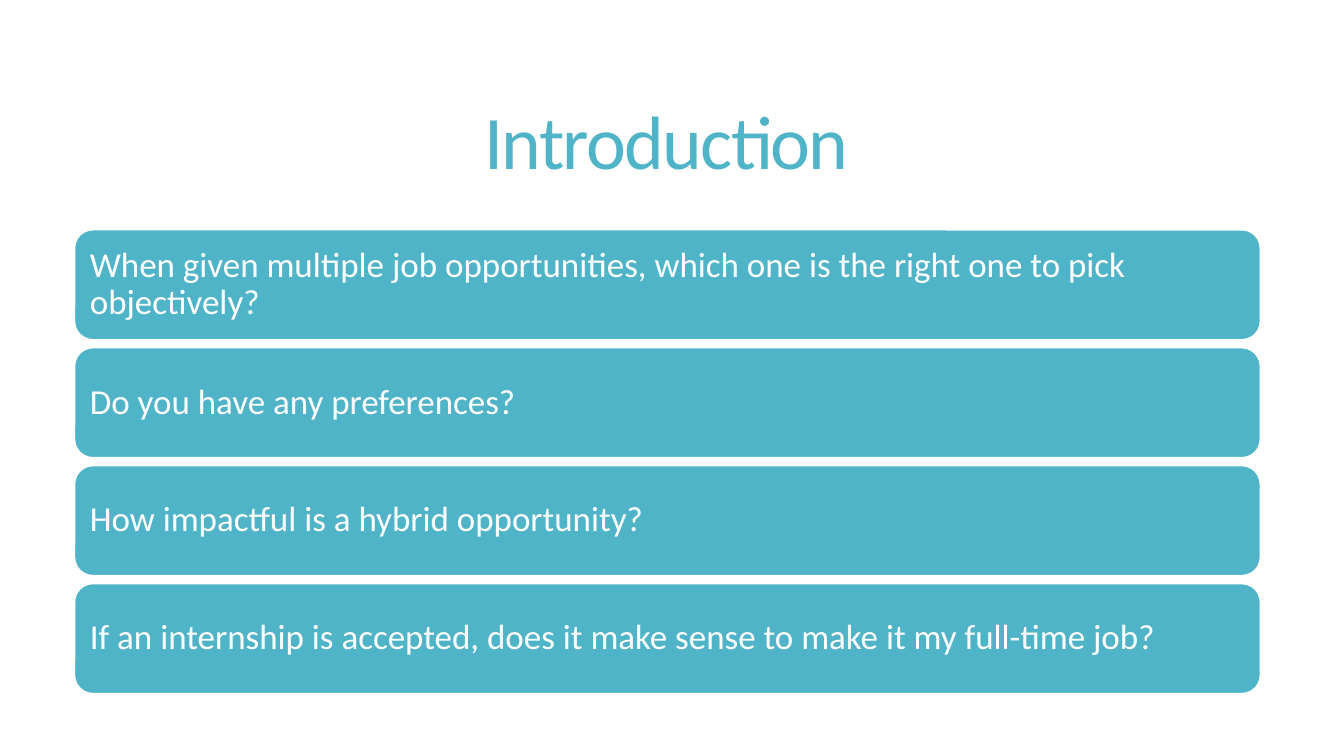
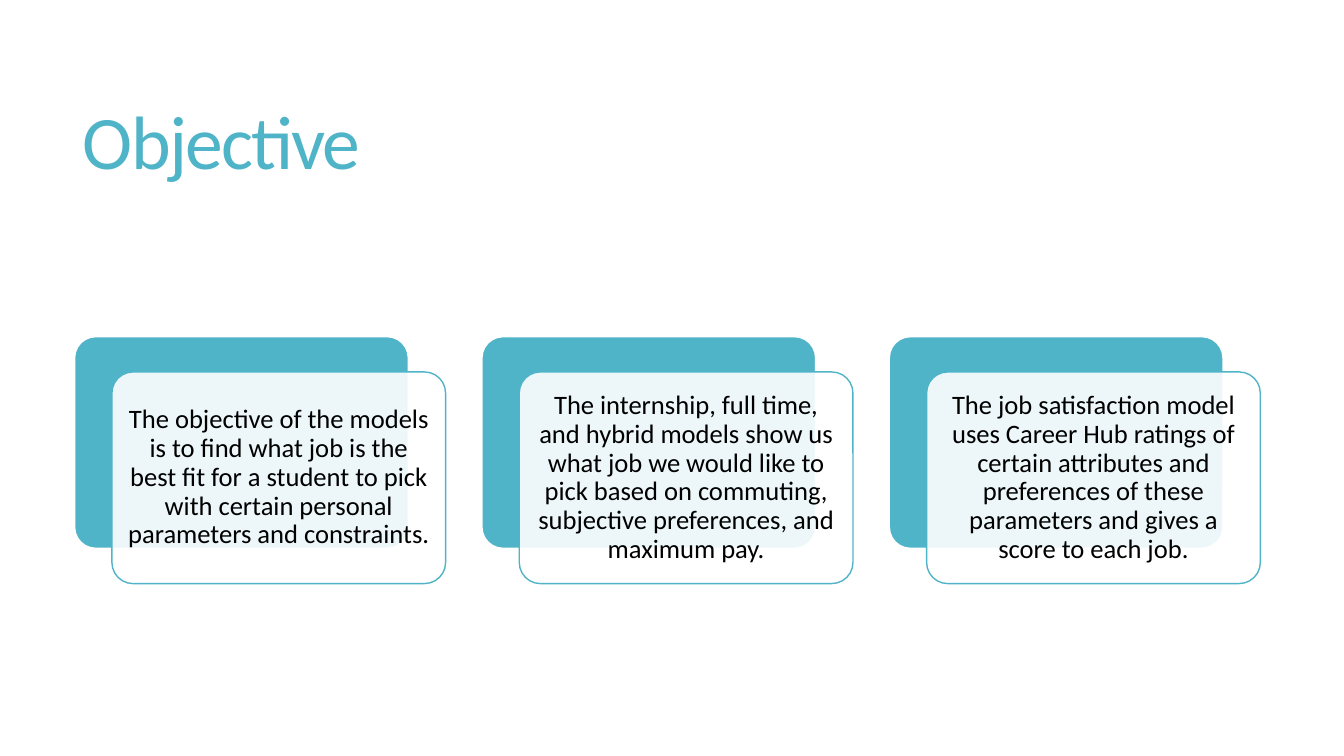
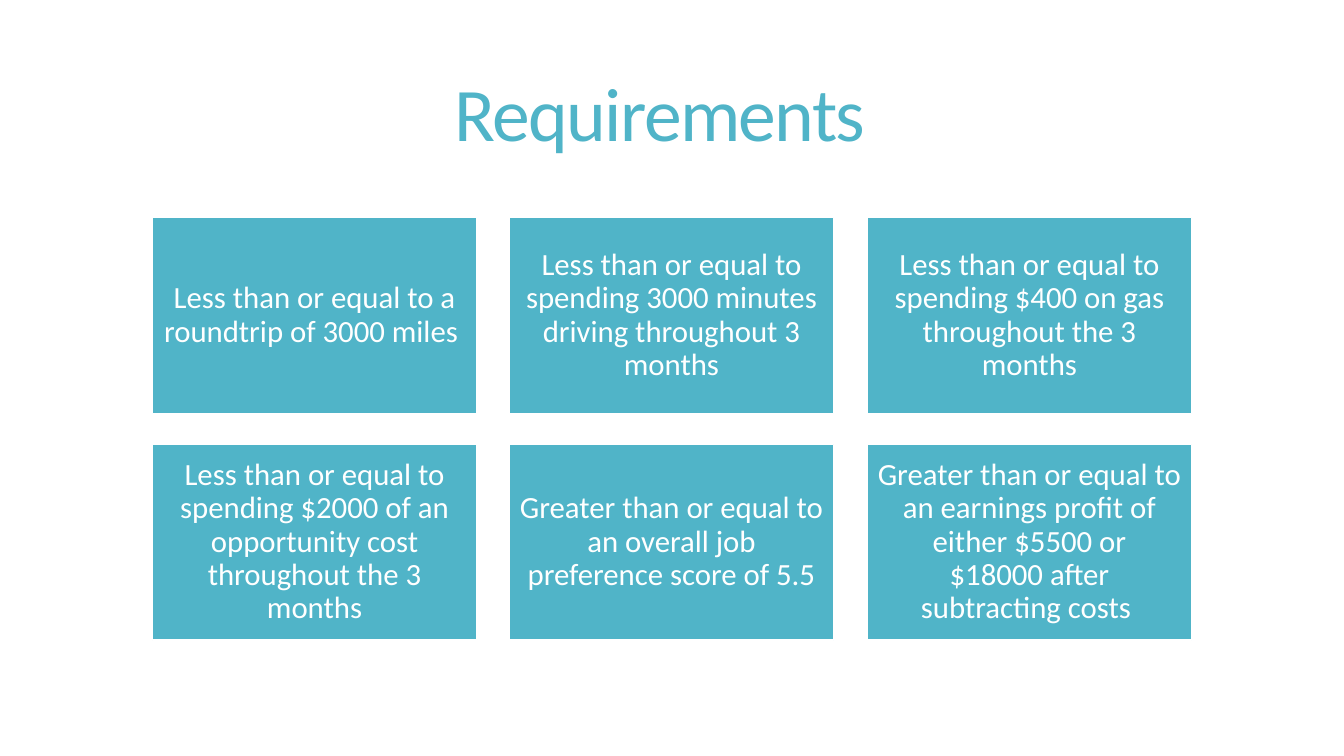
from dataclasses import dataclass

from lxml.etree import SubElement
from pptx import Presentation
from pptx.dml.color import RGBColor
from pptx.enum.shapes import MSO_SHAPE as SHAPE
from pptx.enum.text import MSO_ANCHOR as ANCHOR, MSO_AUTO_SIZE as AUTO, PP_ALIGN as ALIGN
from pptx.oxml.ns import qn
from pptx.util import Emu, Pt

EMU_PER_PX = 9144  # 100 px to the inch
NBSP = chr(160)  # keeps two words on one line


@dataclass(frozen=True)
class Theme:
    teal: RGBColor = RGBColor.from_string("50B4C8")
    white: RGBColor = RGBColor.from_string("FFFFFF")
    black: RGBColor = RGBColor.from_string("000000")
    font: str = "Calibri"
    title_size: int = 54
    question_size: int = 25
    card_size: int = 19
    tile_size: int = 22
    line_width: int = 1
    title_leading: float = 0.85
    body_leading: float = 0.9


THEME = Theme()
WIDE_TITLE = (72, 55, 1178, 181)

QUESTIONS = [
    "When given multiple job opportunities, which one is the right one to pick objectively?",
    "Do you have any preferences?",
    "How impactful is a hybrid opportunity?",
    "If an internship is accepted, does it make sense to make it my full-time job?",
]
OBJECTIVES = [
    f"The objective of the models is to find what job is the best fit for a{NBSP}student "
    "to pick with certain personal parameters and constraints.",
    f"The{NBSP}internship, full time, and hybrid models{NBSP}show us what job{NBSP}we would "
    "like to pick based on commuting, subjective preferences, and maximum pay.",
    f"The job satisfaction model uses Career Hub ratings of certain attributes{NBSP}and "
    f"preferences of these parameters and gives a score{NBSP}to{NBSP}each job.",
]
REQUIREMENTS = [
    f"Less than or equal to a roundtrip of 3000 miles{NBSP}",
    "Less than or equal to spending 3000 minutes driving throughout 3 months",
    "Less than or equal to spending $400 on gas throughout the 3 months",
    "Less than or equal to spending $2000 of an opportunity cost throughout the 3 months",
    "Greater than or equal to an overall job preference score of 5.5",
    f"Greater than or equal to an earnings profit of either $5500 or $18000{NBSP}after "
    f"subtracting costs{NBSP}",
]


def px(n):
    return Emu(n * EMU_PER_PX)


def spread(first, last, count):
    """Evenly spaced starts from first to last."""
    return [first + (last - first) * i // (count - 1) for i in range(count)]


# Text
def set_text(tf, text, size, color, align, leading):
    tf.text = text
    tf.word_wrap = True
    tf.auto_size = AUTO.NONE
    tf.vertical_anchor = ANCHOR.MIDDLE
    p = tf.paragraphs[0]
    p.alignment = align
    p.line_spacing = leading
    r = p.runs[0]
    r.font.name = THEME.font
    r.font.size = Pt(size)
    r.font.color.rgb = color
    return r


def add_titled_slide(prs, text, box, align=ALIGN.LEFT):
    s = prs.slides.add_slide(prs.slide_layouts[5])
    sp = s.shapes.title
    sp.left, sp.top, sp.width, sp.height = map(px, box)
    r = set_text(sp.text_frame, text, THEME.title_size, THEME.teal, align,
                 THEME.title_leading)
    r.font._element.set("spc", "-120")
    return s


# Boxes
def add_box(s, kind, box, fill=THEME.teal, line=THEME.white, corner=None):
    sp = s.shapes.add_shape(kind, *map(px, box))
    sp.shadow.inherit = False
    sp.fill.solid()
    sp.fill.fore_color.rgb = fill
    sp.line.color.rgb = line
    sp.line.width = Pt(THEME.line_width)
    if corner is not None:
        sp.adjustments[0] = corner
    return sp


def set_opacity(sp, percent):
    color = sp._element.spPr.find(qn("a:solidFill"))[0]
    SubElement(color, qn("a:alpha")).set("val", str(percent * 1000))


def fill_box(sp, text, size, inset, color=THEME.white, align=ALIGN.CENTER):
    tf = sp.text_frame
    tf.margin_left = tf.margin_top = tf.margin_right = tf.margin_bottom = px(inset)
    set_text(tf, text, size, color, align, THEME.body_leading)


def add_card(s, x, y, text):
    width, height, corner = 331, 210, 0.1
    add_box(s, SHAPE.ROUNDED_RECTANGLE, (x, y, width, height), corner=corner)
    front = add_box(s, SHAPE.ROUNDED_RECTANGLE, (x + 37, y + 35, width, height),
                    THEME.white, THEME.teal, corner)
    set_opacity(front, 90)
    fill_box(front, text, THEME.card_size, 8, THEME.black)


# Slides
def introduction(prs):
    s = add_titled_slide(prs, "Introduction", WIDE_TITLE, ALIGN.CENTER)
    for y, text in zip(spread(228, 579, len(QUESTIONS)), QUESTIONS):
        bar = add_box(s, SHAPE.ROUNDED_RECTANGLE, (74, y, 1176, 109))
        fill_box(bar, text, THEME.question_size, 10, align=ALIGN.LEFT)


def objective(prs):
    s = add_titled_slide(prs, "Objective", WIDE_TITLE)
    for x, text in zip(spread(74, 882, len(OBJECTIVES)), OBJECTIVES):
        add_card(s, x, 334, text)


def requirements(prs):
    s = add_titled_slide(prs, "Requirements", (441, 63, 451, 109))
    cells = [(x, y) for y in spread(216, 441, 2) for x in spread(151, 860, 3)]
    for (x, y), text in zip(cells, REQUIREMENTS):
        tile = add_box(s, SHAPE.RECTANGLE, (x, y, 322, 194))
        fill_box(tile, text, THEME.tile_size, 9)


def main():
    prs = Presentation()
    prs.slide_width, prs.slide_height = px(1333), px(750)
    introduction(prs)
    objective(prs)
    requirements(prs)
    prs.save("out.pptx")


if __name__ == "__main__":
    main()
